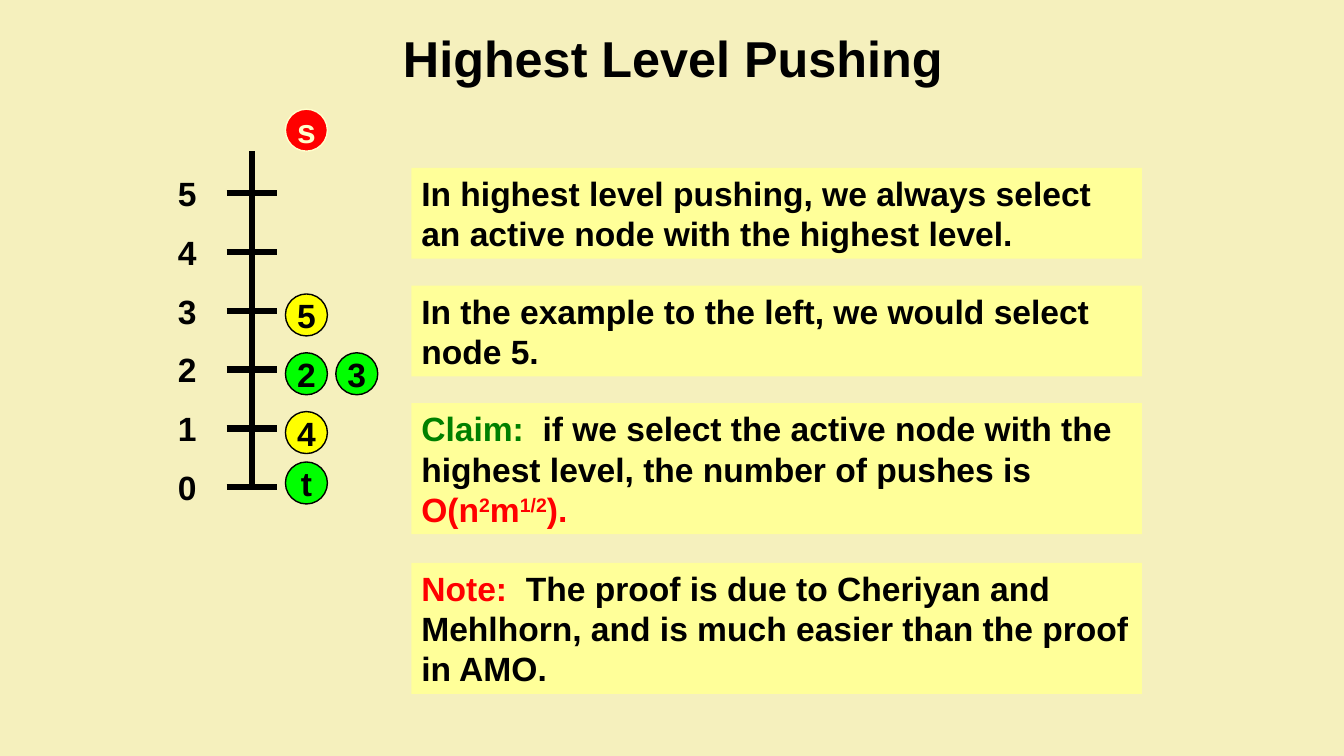
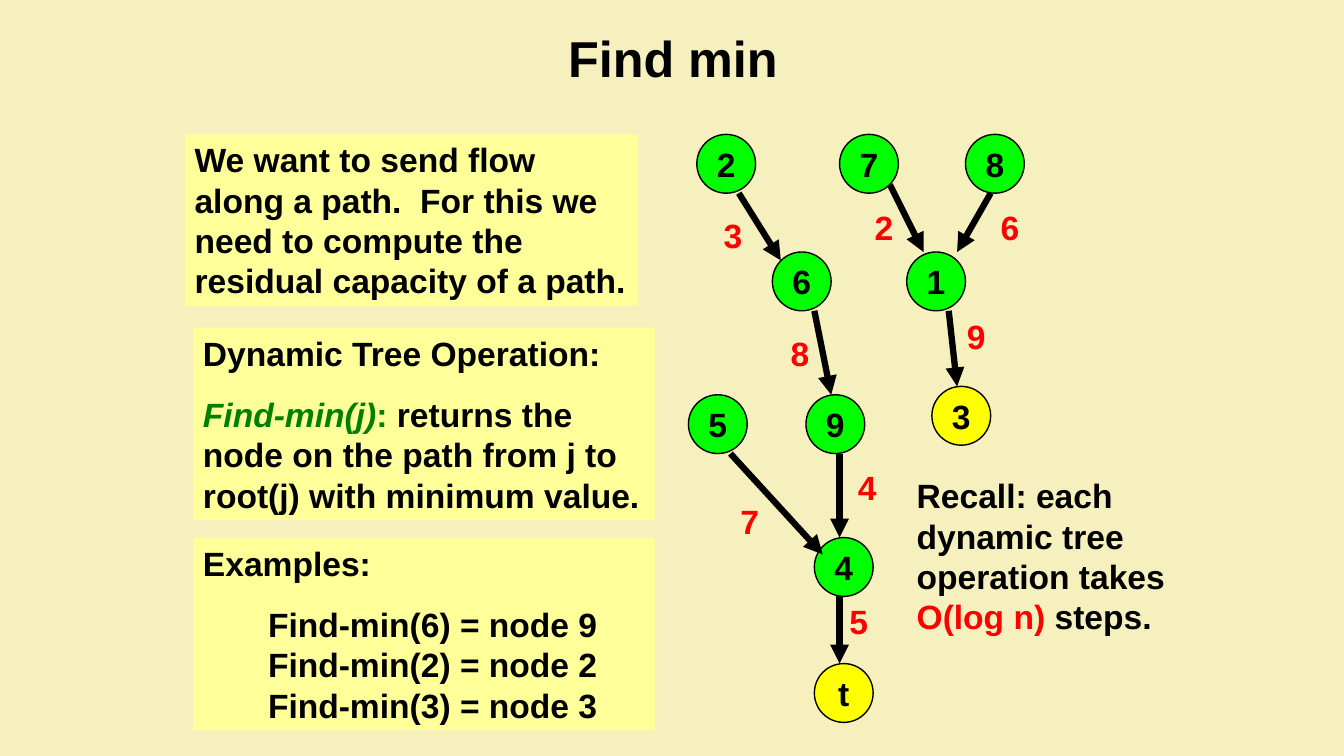
import pptx
import pptx.util
import pptx.dml.color
import pptx.enum.shapes
import pptx.enum.text
import pptx.oxml
import pptx.oxml.ns
import lxml.etree

Pt = pptx.util.Pt
SHAPE = pptx.enum.shapes.MSO_SHAPE
ALIGN = pptx.enum.text.PP_ALIGN
ANCHOR = pptx.enum.text.MSO_ANCHOR

# Shared look
PAPER, NOTE, CREAM = "F5F0BD", "FFFF99", "FFFFCC"
BLACK, RED, DARK = "000000", "FF0000", "008000"
GREEN, YELLOW = "00FF00", "FFFF00"
SIZE, LINE, GAP = 24, 28.8, 15


def color(code):
    return pptx.dml.color.RGBColor.from_string(code)


def style(run, ink=BLACK, size=SIZE, look=""):
    font = run.font
    font.name, font.size, font.bold = "Arial", Pt(size), True
    font.color.rgb = color(ink)
    if look == "italic":
        font.italic = True
    elif look == "super":
        run._r.get_or_add_rPr().set("baseline", "30000")


def write(frame, paras, indent=0):
    """Fill a frame; each paragraph is a list of (text, ink, look) runs.
    The indent applies to every paragraph after the first."""
    frame.word_wrap = True
    frame.vertical_anchor = ANCHOR.TOP
    for i, parts in enumerate(paras):
        para = frame.add_paragraph() if i else frame.paragraphs[0]
        para.alignment = ALIGN.LEFT
        if i:
            para.space_before = Pt(GAP)
            para._p.get_or_add_pPr().set("marL", str(Pt(indent)))
        for text, *rest in parts:
            for j, row in enumerate(text.split("\n")):
                if j:
                    para.add_line_break()
                run = para.add_run()
                run.text = row
                style(run, rest[0] if rest else BLACK,
                      look=rest[1] if len(rest) > 1 else "")


def label(slide, x, y, w, h, *paras):
    box = slide.shapes.add_textbox(Pt(x), Pt(y), Pt(w), Pt(h))
    write(box.text_frame, paras)


def note(slide, x, y, w, rows, *paras, indent=0):
    """Yellow panel, as tall as its rows of text."""
    h = 7.2 + LINE * rows + GAP * (len(paras) - 1)
    box = slide.shapes.add_shape(SHAPE.RECTANGLE, Pt(x), Pt(y), Pt(w), Pt(h))
    box.shadow.inherit = False
    box.fill.solid()
    box.fill.fore_color.rgb = color(NOTE)
    box.line.fill.background()
    write(box.text_frame, paras, indent)


def node(slide, x, y, size, text, fill, ink=BLACK):
    disc = slide.shapes.add_shape(SHAPE.OVAL, Pt(x), Pt(y), Pt(size), Pt(size))
    disc.shadow.inherit = False
    disc.fill.solid()
    disc.fill.fore_color.rgb = color(fill)
    disc.line.color.rgb = color(ink)
    disc.line.width = Pt(1)
    frame = disc.text_frame
    frame.text = text
    frame.word_wrap = False
    frame.vertical_anchor = ANCHOR.MIDDLE
    frame.paragraphs[0].alignment = ALIGN.CENTER
    style(frame.paragraphs[0].runs[0], ink)


def stroke(slide, x1, y1, x2, y2, arrow=False):
    line = slide.shapes.add_connector(
        pptx.enum.shapes.MSO_CONNECTOR.STRAIGHT, Pt(x1), Pt(y1), Pt(x2), Pt(y2))
    line.line.color.rgb = color(BLACK)
    line.line.width = Pt(4.5)
    qn = pptx.oxml.ns.qn
    if arrow:
        lxml.etree.SubElement(line.line._get_or_add_ln(), qn("a:tailEnd"),
                              type="triangle")
    lxml.etree.SubElement(line._element.spPr, qn("a:effectLst"))


def add_slide(deck, title):
    slide = deck.slides.add_slide(deck.slide_layouts[5])
    head = slide.shapes.title
    head.left, head.top, head.width, head.height = Pt(49), Pt(9.5), Pt(864), Pt(62.5)
    frame = head.text_frame
    frame.text = title
    frame.vertical_anchor = ANCHOR.MIDDLE
    frame.paragraphs[0].alignment = ALIGN.CENTER
    style(frame.paragraphs[0].runs[0], size=36)
    return slide


def levels(slide, left, top):
    """Level axis from 0 to 5 with the nodes beside it."""
    step, axis, base = 42, left + 60, top + 270
    stroke(slide, axis, top + 30, axis, base)
    for n in range(6):
        y = base - step * n
        stroke(slide, axis - 18, y, axis + 18, y)
        label(slide, left, y - 18, 30, 36, [(str(n),)])
    # Name, level, column, drop, fill, ink
    nodes = [("t", 0, 0, 0, GREEN, BLACK), ("4", 1, 0, 6, YELLOW, BLACK),
             ("2", 2, 0, 6, GREEN, BLACK), ("3", 2, 1, 6, GREEN, BLACK),
             ("5", 3, 0, 6, YELLOW, BLACK), ("s", 6, 0, 0, RED, CREAM)]
    for name, n, col, drop, fill, ink in nodes:
        node(slide, axis + 24 + 36 * col, base - 18 - step * n + drop, 30,
             name, fill, ink)


def claims(slide, left, top, width):
    note(slide, left, top, width, 2,
         [("In highest level pushing, we always select an active node "
           "with the highest level.",)])
    note(slide, left, top + 84, width, 2,
         [("In the example to the left, we would select node 5.",)])
    note(slide, left, top + 168, width, 3,
         [("Claim:", DARK),
          ("  if we select the active node with the highest level, "
           "the number of pushes is ",),
          ("O(n", RED), ("2", RED, "super"), ("m", RED),
          ("1/2", RED, "super"), (").", RED)])
    note(slide, left, top + 282, width, 3,
         [("Note:  ", RED),
          ("The proof is due to Cheriyan and Mehlhorn, and is much easier "
           "than the proof in AMO.",)])


def tree(slide, left, top):
    """Two rooted trees; roots are yellow and edge values red."""
    nodes = {"2": (6, 0), "7": (108, 0), "8": (198, 0), "6": (60, 84),
             "1": (156, 84), "5": (0, 186), "9": (84, 186), "4": (90, 288),
             "t": (90, 378), "3": (174, 180)}
    for name, (x, y) in nodes.items():
        node(slide, left + x, top + y, 42, name,
             YELLOW if name in "t3" else GREEN)
    # Value, value place, start, end
    edges = [("3", (18, 54), (36, 42), (66, 90)),
             ("2", (126, 48), (144, 36), (168, 84)),
             ("6", (216, 48), (216, 42), (192, 84)),
             ("9", (192, 126), (186, 126), (192, 180)),
             ("8", (66, 138), (90, 126), (102, 186)),
             ("4", (114, 234), (108, 228), (108, 288)),
             ("7", (30, 258), (30, 228), (96, 300)),
             ("5", (108, 330), (108, 330), (108, 378))]
    for value, (x, y), (x1, y1), (x2, y2) in edges:
        stroke(slide, left + x1, top + y1, left + x2, top + y2, arrow=True)
        label(slide, left + x, top + y, 36, 36, [(value, RED)])


def lessons(slide, left, top):
    note(slide, left, top, 324, 4,
         [("We want to send flow along a path.  For this we need to compute "
           "the residual capacity of a path.",)])
    note(slide, left + 6, top + 138, 330, 4,
         [("Dynamic Tree Operation:",)],
         [("Find-min(j)", DARK, "italic"), (": ", DARK),
          ("returns the node on the path from j to root(j) "
           "with minimum value.",)])
    note(slide, left + 6, top + 288, 330, 4,
         [("Examples:",)],
         [("Find-min(6) = node 9\nFind-min(2) = node 2\n"
           "Find-min(3) = node 3",)], indent=46.5)


def main():
    deck = pptx.Presentation()
    deck.slide_width, deck.slide_height = Pt(960.5), Pt(540)
    paper = deck.slide_master.background.fill
    paper.solid()
    paper.fore_color.rgb = color(PAPER)

    slide = add_slide(deck, "Highest Level Pushing")
    levels(slide, 120, 78)
    claims(slide, 294, 120, 522)

    slide = add_slide(deck, "Find min")
    tree(slide, 492, 96)
    lessons(slide, 132, 96)
    label(slide, 648, 336, 192, 122.4,
          [("Recall: each dynamic tree operation takes ",),
           ("O(log n)", RED), (" steps.",)])
    deck.save("out.pptx")


if __name__ == "__main__":
    main()
